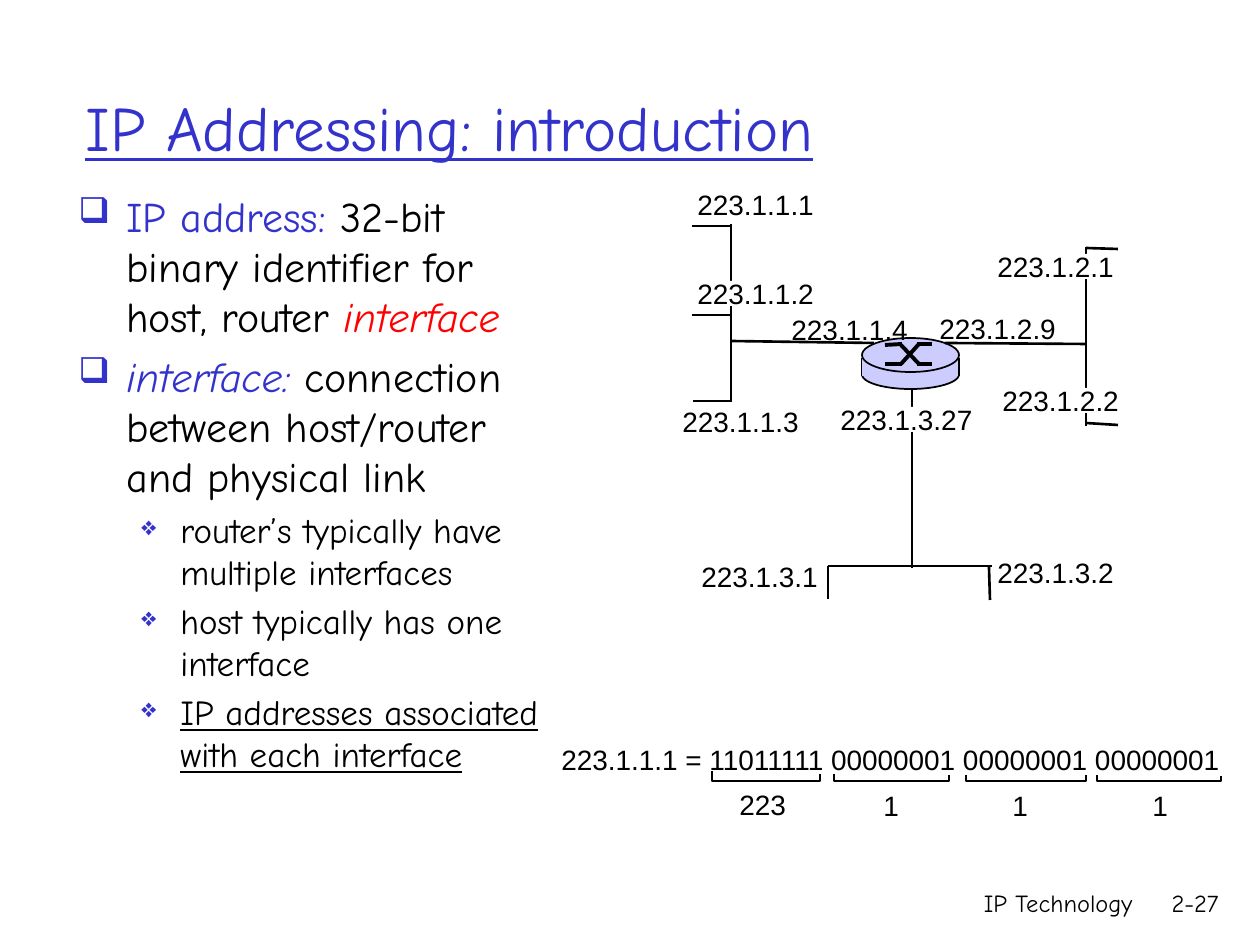
from lxml import etree
from pptx import Presentation
from pptx import util as u
from pptx.dml.color import RGBColor
from pptx.enum import shapes, text
from pptx.oxml.ns import qn

SCALE = 914400 / 126
COLORS = {"black": "000000", "white": "FFFFFF", "blue": "3333CC",
          "red": "FF0000", "router": "CCCCFF"}
HAND = {"name": "Comic Neue"}
LABEL = {"name": "Arial", "size": u.Pt(16)}
BULLETS = [
    {"char": "❑", "scale": 85, "left": 48, "hang": 48, "before": 5, "size": 24},
    {"char": "❖", "scale": 75, "left": 102, "hang": 39, "before": 4, "size": 20},
]
BODY = [
    (0, [("IP address:", "blue", {}),
         (" 32-bit binary identifier for host, router ", "black", {}),
         ("interface", "red", {"italic": True})]),
    (0, [("interface:", "blue", {"italic": True}),
         (" connection between host/router and physical link", "black", {})]),
    (1, [("router’s typically have multiple interfaces", "black", {})]),
    (1, [("host typically has one interface", "black", {})]),
    (1, [("IP addresses associated with each interface", "black",
          {"underline": True})]),
]
LEFT_NET = [(692, 226, 730, 226), (731, 224, 731, 402), (692, 315, 730, 315),
            (693, 401, 731, 401), (731, 341, 874, 343)]
RIGHT_NET = [(945, 343, 1085, 344), (1086, 247, 1086, 426),
             (1086, 248, 1118, 249), (1086, 423, 1118, 425)]
BOTTOM_NET = [(912, 389, 912, 568), (992, 566, 828, 566),
              (828, 599, 828, 566), (990, 600, 989, 566)]
CROSS = [(885, 345, 902, 344), (917, 364, 932, 364), (901, 345, 919, 364),
         (885, 364, 902, 364), (917, 344, 932, 344), (901, 364, 919, 344)]
ADDRESSES = [
    ("223.1.1.1", 685, 181, False), ("223.1.1.2", 685, 270, True),
    ("223.1.1.3", 670, 398, False), ("223.1.1.4", 779, 306, False),
    ("223.1.2.9", 927, 305, False), ("223.1.2.2", 990, 377, True),
    ("223.1.2.1", 985, 243, True), ("223.1.3.2", 985, 549, True),
    ("223.1.3.1", 689, 553, True), ("223.1.3.27", 828, 396, True),
]
OCTETS = [("223", 712, 820, 771, 774, 727, 781, 72),
          ("1", 834, 949, 774, 775, 871, 782, 40),
          ("1", 966, 1086, 775, 775, 1000, 782, 40),
          ("1", 1097, 1221, 775, 776, 1140, 782, 40)]


def px(n):
    return u.Emu(round(n * SCALE))


def rgb(name):
    return RGBColor.from_string(COLORS[name])


def apply(obj, fmt):
    for key, value in fmt.items():
        setattr(obj, key, value)


def add_run(p, words, color, fmt):
    r = p.add_run()
    r.text = words
    apply(r.font, fmt)
    r.font.color.rgb = rgb(color)


def add_box(s, box, **fmt):
    tf = s.shapes.add_textbox(*map(px, box)).text_frame
    apply(tf, {"word_wrap": True, **fmt})
    return tf


def add_label(s, words, x, y, w):
    tf = add_box(s, (x, y, w, 47), word_wrap=False,
                 auto_size=text.MSO_AUTO_SIZE.SHAPE_TO_FIT_TEXT)
    add_run(tf.paragraphs[0], words, "black", LABEL)


def add_footer(s, words, box):
    p = add_box(s, box).paragraphs[0]
    p.alignment = text.PP_ALIGN.RIGHT
    add_run(p, words, "black", {**HAND, "size": u.Pt(14)})


def add_bullet(p, style):
    pPr = p._p.get_or_add_pPr()
    pPr.set("marL", str(px(style["left"])))
    pPr.set("indent", str(-px(style["hang"])))
    clr = etree.SubElement(pPr, qn("a:buClr"))
    etree.SubElement(clr, qn("a:srgbClr"), val=COLORS["blue"])
    etree.SubElement(pPr, qn("a:buSzPct"), val=str(style["scale"] * 1000))
    etree.SubElement(pPr, qn("a:buChar"), char=style["char"])


def add_body(s):
    tf = add_box(s, (66, 184, 509, 640))
    for i, (level, runs) in enumerate(BODY):
        p = tf.add_paragraph() if i else tf.paragraphs[0]
        style = BULLETS[level]
        add_bullet(p, style)
        p.level = level
        if i:
            p.space_before = u.Pt(style["before"])
        for words, color, fmt in runs:
            add_run(p, words, color, {**HAND, "size": u.Pt(style["size"]), **fmt})


def add_lines(s, lines, width=1.5):
    for ends in lines:
        sp = s.shapes.add_connector(shapes.MSO_CONNECTOR.STRAIGHT, *map(px, ends))
        sp.line.color.rgb = rgb("black")
        sp.line.width = u.Pt(width)
        etree.SubElement(sp._element.spPr, qn("a:effectLst"))


def add_solid(s, kind, box, fill, outlined=False):
    sp = s.shapes.add_shape(kind, *map(px, box))
    sp.shadow.inherit = False
    sp.fill.solid()
    sp.fill.fore_color.rgb = rgb(fill)
    if outlined:
        sp.line.color.rgb = rgb("black")
        sp.line.width = u.Pt(1)
    else:
        sp.line.fill.background()


def add_router(s):
    kind = shapes.MSO_SHAPE
    add_solid(s, kind.OVAL, (862, 360, 97, 29), "router", True)
    add_lines(s, [(x, 358, x, 376) for x in (862, 959)], 1)
    add_solid(s, kind.RECTANGLE, (862, 358, 96, 18), "router")
    add_solid(s, kind.OVAL, (862, 338, 97, 34), "router", True)
    add_lines(s, CROSS, 2.25)


def add_address(s, words, x, y, masked):
    if masked:
        add_solid(s, shapes.MSO_SHAPE.RECTANGLE, (x + 12, y + 11, 117, 25), "white")
    add_label(s, words, x, y, 158 if len(words) > 9 else 142)


def add_bracket(s, left, right, left_top, right_top):
    base = 781
    fb = s.shapes.build_freeform(left, left_top, scale=SCALE)
    fb.add_line_segments([(left, base), (right, base), (right, right_top)], close=False)
    sp = fb.convert_to_shape()
    sp.shadow.inherit = False
    sp.fill.background()
    sp.line.color.rgb = rgb("black")
    sp.line.width = u.Pt(1.5)


def main():
    prs = Presentation()
    prs.slide_width, prs.slide_height = px(1260), px(945)
    s = prs.slides.add_slide(prs.slide_layouts[6])
    add_footer(s, "IP Technology", (746, 882, 399, 63))
    add_footer(s, "2-27", (1131, 882, 100, 63))
    title = add_box(s, (73, 32, 1071, 189), vertical_anchor=text.MSO_ANCHOR.MIDDLE)
    title.vertical_anchor = text.MSO_ANCHOR.MIDDLE
    add_run(title.paragraphs[0], "IP Addressing: introduction", "blue",
            {**HAND, "size": u.Pt(36), "underline": True})
    add_body(s)
    add_lines(s, LEFT_NET)
    add_router(s)
    add_lines(s, RIGHT_NET + BOTTOM_NET)
    for address in ADDRESSES:
        add_address(s, *address)
    add_label(s, "223.1.1.1 = 11011111 00000001 00000001 00000001", 549, 736, 696)
    for words, left, right, left_top, right_top, x, y, w in OCTETS:
        add_bracket(s, left, right, left_top, right_top)
        add_label(s, words, x, y, w)
    prs.save("out.pptx")


if __name__ == "__main__":
    main()
